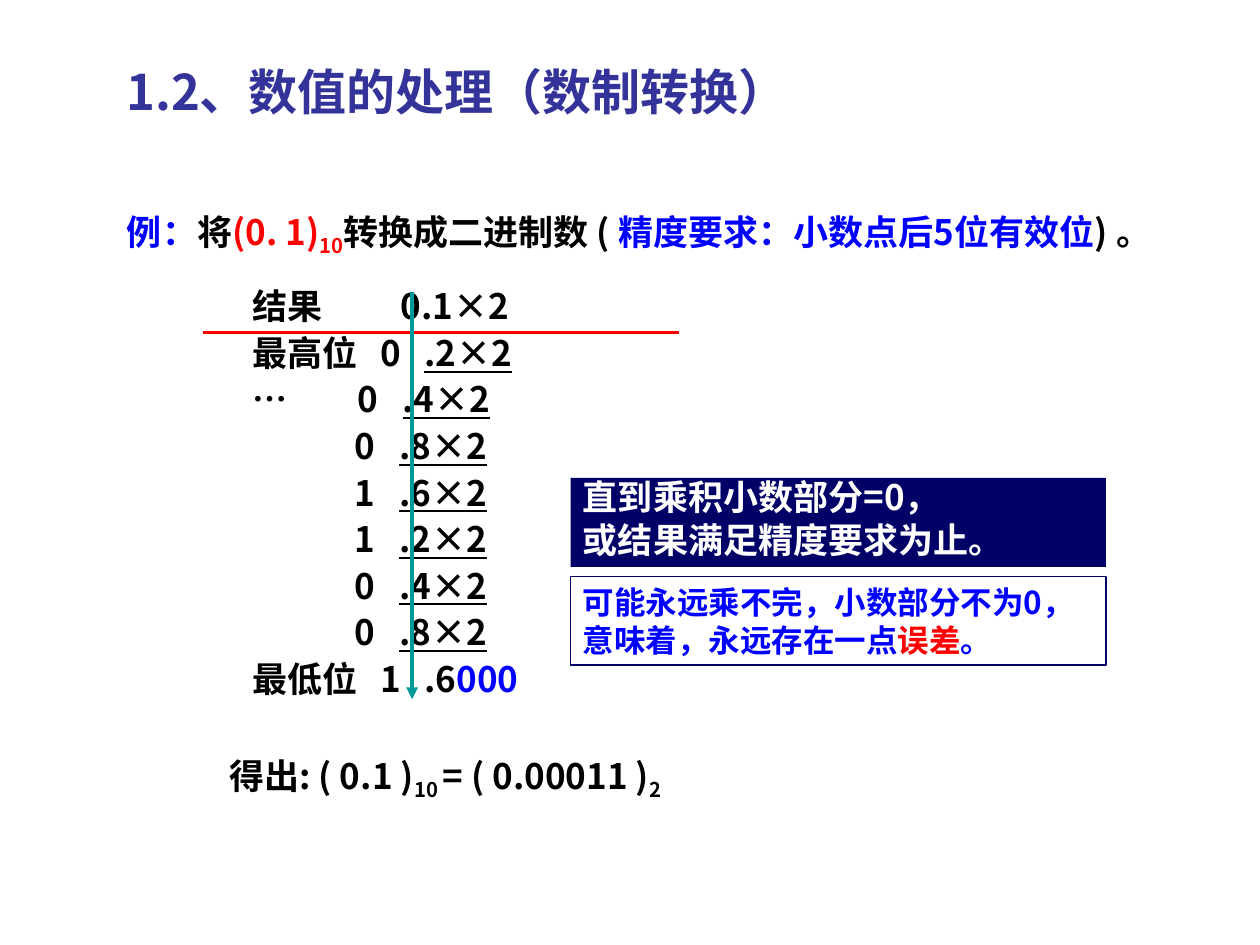
from dataclasses import dataclass
from typing import Optional

from lxml.etree import SubElement
from pptx import Presentation
from pptx.dml.color import RGBColor
from pptx.enum.shapes import MSO_CONNECTOR as Connector, MSO_SHAPE as Shape
from pptx.enum.text import MSO_ANCHOR as Anchor, MSO_AUTO_SIZE as AutoSize, PP_ALIGN as Align
from pptx.oxml.ns import qn
from pptx.util import Pt

FONT = "Noto Sans CJK SC"
BLACK, WHITE, RED, BLUE = "000000", "FFFFFF", "FF0000", "0000FF"
NAVY, TEAL, INDIGO = "000066", "009999", "333399"
LABEL_TAB = 72


@dataclass
class Piece:
    text: str
    color: str = BLACK
    underline: bool = False
    sub: bool = False


@dataclass
class Line:
    pieces: list[Piece]
    tabs: tuple[float, ...] = ()
    indent: float = 0
    before: float = 0
    spacing: Optional[float] = None


@dataclass
class Step:
    label: str
    digit: str
    fraction: str
    tabs: tuple[float, float]


def rgb(color: str) -> RGBColor:
    return RGBColor.from_string(color)


def write_line(paragraph, line: Line, size: float) -> None:
    props = paragraph._p.get_or_add_pPr()
    if line.tabs:
        tab_list = SubElement(props, qn("a:tabLst"))
        for position in line.tabs:
            SubElement(tab_list, qn("a:tab"), pos=str(Pt(position)), algn="l")
    if line.indent:
        props.set("marL", str(Pt(line.indent)))
    paragraph.alignment = Align.LEFT
    paragraph.space_before = Pt(line.before)
    if line.spacing:
        paragraph.line_spacing = line.spacing
    for piece in line.pieces:
        run = paragraph.add_run()
        run.text = piece.text
        font = run.font
        font.size, font.bold, font.name = Pt(size), True, FONT
        font.color.rgb = rgb(piece.color)
        if piece.underline:
            font.underline = True
        run_props = run._r.get_or_add_rPr()
        SubElement(run_props, qn("a:ea"), typeface=FONT)
        if piece.sub:
            run_props.set("baseline", "-25000")


def fill_text(shape, lines: list[Line], size: float) -> None:
    frame = shape.text_frame
    frame.word_wrap = True
    frame.auto_size = AutoSize.NONE
    frame.vertical_anchor = Anchor.TOP
    frame.margin_left = frame.margin_right = Pt(7.2)
    frame.margin_top = frame.margin_bottom = Pt(3.6)
    for index, line in enumerate(lines):
        paragraph = frame.add_paragraph() if index else frame.paragraphs[0]
        write_line(paragraph, line, size)


def add_text(slide, box: tuple, lines: list[Line], size: float) -> None:
    fill_text(slide.shapes.add_textbox(*map(Pt, box)), lines, size)


def add_note(slide, box: tuple, lines: list[Line], size: float,
             fill: Optional[str] = None, outline: Optional[str] = None) -> None:
    note = slide.shapes.add_shape(Shape.RECTANGLE, *map(Pt, box))
    note.shadow.inherit = False
    if fill:
        note.fill.solid()
        note.fill.fore_color.rgb = rgb(fill)
    else:
        note.fill.background()
    if outline:
        note.line.color.rgb = rgb(outline)
        note.line.width = Pt(0.75)
    else:
        note.line.fill.background()
    fill_text(note, lines, size)


def add_rule(slide, ends: tuple, color: str, arrow: bool = False) -> None:
    rule = slide.shapes.add_connector(Connector.STRAIGHT, *map(Pt, ends))
    rule.line.color.rgb = rgb(color)
    rule.line.width = Pt(2.25)
    if arrow:
        SubElement(rule.line._get_or_add_ln(), qn("a:tailEnd"), type="triangle")
    SubElement(rule._element.spPr, qn("a:effectLst"))


def step_line(step: Step) -> Line:
    return Line([Piece(f"\t{step.label}\t{step.digit}\t"),
                 Piece(step.fraction + "×2", underline=True)],
                (LABEL_TAB, *step.tabs), before=5, spacing=0.9)


deck = Presentation()
deck.slide_width, deck.slide_height = Pt(720), Pt(540)
slide = deck.slides.add_slide(deck.slide_layouts[5])

# Title
title = slide.shapes.title
title.left, title.top, title.width, title.height = map(Pt, (65, 31.5, 448, 41))
fill_text(title, [Line([Piece("1.2、数值的处理（数制转换）", INDIGO)])], 28)

# Stopping rule
add_note(slide, (326, 273, 306, 51), [
    Line([Piece("直到乘积小数部分=0，", WHITE)], spacing=0.8),
    Line([Piece("或结果满足精度要求为止。", WHITE)], before=5, spacing=0.8),
], 20, fill=NAVY)

# Example
add_text(slide, (65.5, 116.5, 628.5, 34.5), [Line([
    Piece("例：", BLUE), Piece("将"), Piece("(0. 1)", RED), Piece("10", RED, sub=True),
    Piece("转换成二进制数 ( "), Piece("精度要求：小数点后5位有效位", BLUE), Piece(") 。"),
])], 20)

# Repeated multiplication: label, integer digit, fraction
labelled, dotted, plain = (145.5, 170.5), (132, 158), (130.5, 156)
steps = [Step("最高位", "0", ".2", labelled), Step("…", "0", ".4", dotted)]
steps += [Step("", digit, fraction, plain) for digit, fraction in
          (("0", ".8"), ("1", ".6"), ("1", ".2"), ("0", ".4"), ("0", ".8"))]
add_text(slide, (65, 162, 391, 309.5), [
    Line([Piece("\t结果\t0.1×2")], (LABEL_TAB, 157), spacing=0.9),
    *map(step_line, steps),
    Line([Piece("\t最低位\t1\t.6"), Piece("000", BLUE)],
         (LABEL_TAB, *labelled), before=5, spacing=0.9),
    Line([Piece("得出: ( 0.1 )"), Piece("10 ", sub=True),
          Piece("= ( 0.00011 )"), Piece("2", sub=True)],
         indent=59, before=31.5, spacing=0.9),
], 20)

# Header rule and reading direction
add_rule(slide, (116, 190, 388, 190), RED)
add_rule(slide, (235.5, 167, 235.5, 399.5), TEAL, arrow=True)

# Error remark
add_note(slide, (326, 329.5, 306, 50.5), [
    Line([Piece("可能永远乘不完，小数部分不为0，", BLUE)]),
    Line([Piece("意味着，永远存在一点", BLUE), Piece("误差", RED), Piece("。", BLUE)]),
], 18, outline=NAVY)

deck.save("out.pptx")
